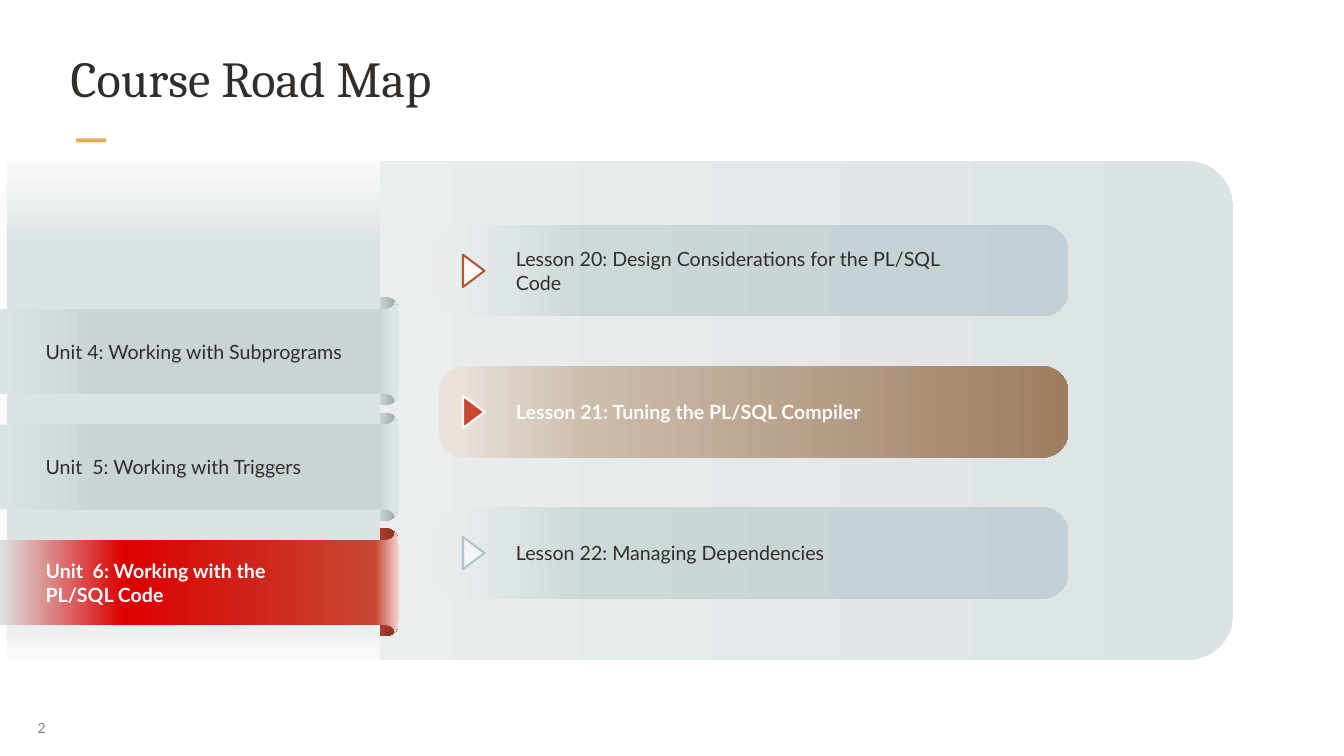
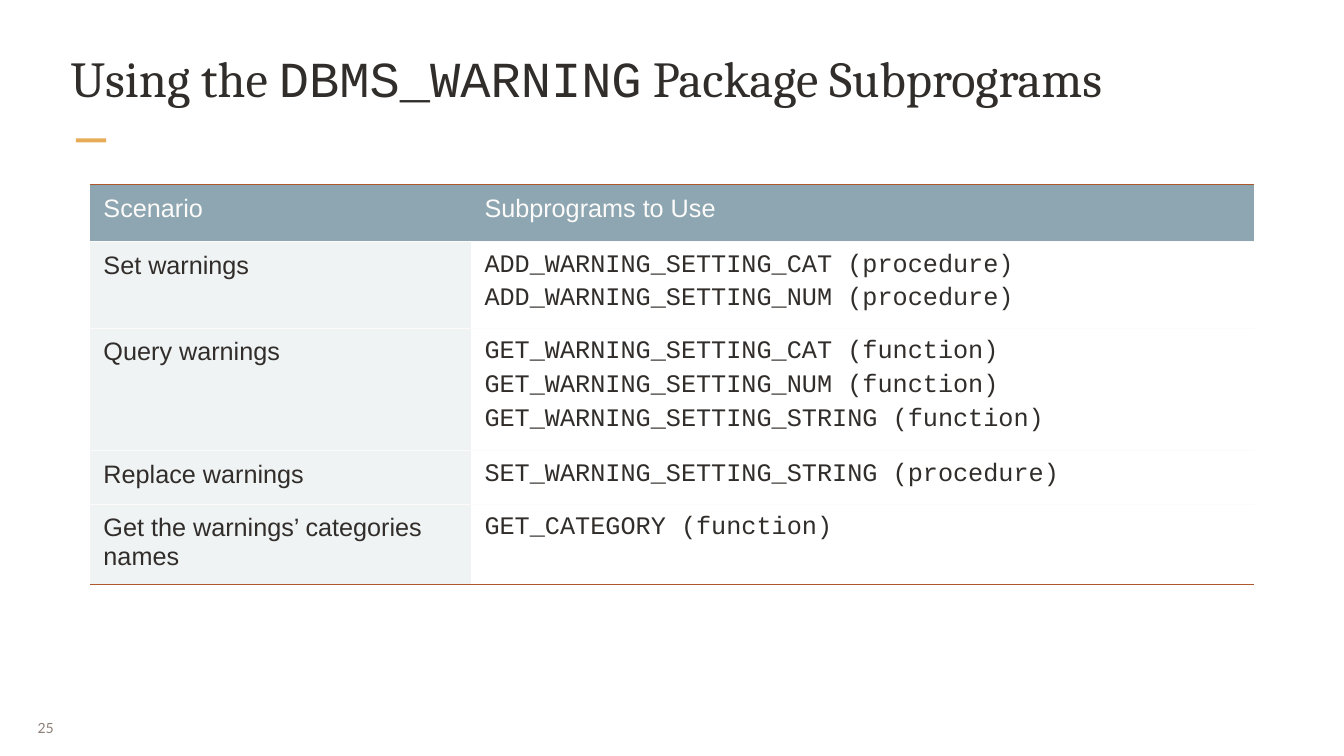
"""Build a course road map slide and a table of warning subprograms."""
from dataclasses import dataclass

from lxml import etree
from pptx import Presentation
from pptx.dml.color import RGBColor
from pptx.enum.shapes import MSO_SHAPE
from pptx.enum.text import MSO_ANCHOR, MSO_AUTO_SIZE, PP_ALIGN
from pptx.oxml.ns import qn
from pptx.util import Emu, Inches, Pt

SLIDE_WIDTH, SLIDE_HEIGHT = Inches(20), Inches(11.25)
COLUMN, ROW = SLIDE_WIDTH / 20, SLIDE_HEIGHT / 11.25

RECTANGLE = MSO_SHAPE.RECTANGLE
ROUNDED = MSO_SHAPE.ROUNDED_RECTANGLE
TRIANGLE = MSO_SHAPE.ISOSCELES_TRIANGLE
TOP, MIDDLE = MSO_ANCHOR.TOP, MSO_ANCHOR.MIDDLE
LEFT, JUSTIFY = PP_ALIGN.LEFT, PP_ALIGN.JUSTIFY
FIXED_SIZE, GROW = MSO_AUTO_SIZE.NONE, MSO_AUTO_SIZE.SHAPE_TO_FIT_TEXT

TITLE_FONT, BODY_FONT, TABLE_FONT, CODE_FONT = "Cambria", "Lato", "Arial", "Courier New"
TITLE_ONLY = 5
PLAIN_TABLE = "{2D5ABB26-0587-4C30-8999-92F81FD0307C}"

INK = RGBColor(0x31, 0x2D, 0x2A)
PAPER = RGBColor(0xFC, 0xFB, 0xFA)
GOLD = RGBColor(0xE6, 0xAC, 0x58)
STONE = RGBColor(0x8B, 0x80, 0x78)
RUST = RGBColor(0xAE, 0x56, 0x2C)
BRICK = RGBColor(0xC7, 0x46, 0x34)
DARK_BRICK = RGBColor(0x95, 0x34, 0x27)
RED = RGBColor(0xDC, 0x00, 0x00)
BLUSH = RGBColor(0xF4, 0xDA, 0xD6)
MIST = RGBColor(0xDC, 0xE3, 0xE4)
PALE_MIST = RGBColor(0xEA, 0xEE, 0xEF)
BAR_MIST = RGBColor(0xE7, 0xEC, 0xED)
SAGE = RGBColor(0xCD, 0xD8, 0xD9)
BLUE_MIST = RGBColor(0xC2, 0xCF, 0xD4)
SILVER = RGBColor(0xCA, 0xD4, 0xD7)
TAB_MIST = RGBColor(0xDE, 0xE4, 0xE5)
STEEL = RGBColor(0x96, 0xA2, 0xA7)
SAND = RGBColor(0xE9, 0xE2, 0xDB)
TAN = RGBColor(0xCD, 0xBC, 0xAC)
BROWN = RGBColor(0x9D, 0x7D, 0x5E)
FROST = RGBColor(0xF3, 0xF5, 0xF6)
FROST_EDGE = RGBColor(0xB4, 0xC3, 0xC9)
HEADER_BLUE = RGBColor(0x8D, 0xA6, 0xB1)
CELL_BLUE = RGBColor(0xEF, 0xF3, 0xF4)


@dataclass(frozen=True)
class Area:
    """A rectangle in grid columns and rows."""
    left: float
    top: float
    width: float
    height: float

    def lengths(self) -> tuple:
        """Return left, top, width and height as slide lengths."""
        return (Emu(round(self.left * COLUMN)), Emu(round(self.top * ROW)),
                Emu(round(self.width * COLUMN)), Emu(round(self.height * ROW)))


@dataclass(frozen=True)
class Gradient:
    """Colour stops in percent, with a counter-clockwise angle."""
    stops: tuple
    angle: int = 0


@dataclass(frozen=True)
class Lesson:
    """A lesson bar with its arrow colours."""
    text: str
    bar_fill: Gradient
    arrow_fill: RGBColor
    arrow_edge: RGBColor
    lines: int = 1
    current: bool = False


@dataclass(frozen=True)
class Unit:
    """A unit ribbon with the tab folded behind it."""
    text: str
    ribbon_fill: Gradient
    tab_fill: Gradient
    text_width: float
    lines: int = 1
    current: bool = False


PANEL_FILL = Gradient(((0, PAPER), (26, PALE_MIST), (100, MIST)))
SIDEBAR_FILL = Gradient(((0, PAPER), (17, MIST), (87, MIST), (100, PAPER)), 270)
BAR_FILL = Gradient(((3, BAR_MIST), (24, SAGE), (100, BLUE_MIST)))
CURRENT_BAR_FILL = Gradient(((3, SAND), (24, TAN), (100, BROWN)))
TAB_FILL = Gradient(((77, TAB_MIST), (99, STEEL)))
CURRENT_TAB_FILL = Gradient(((73, BRICK), (92, DARK_BRICK)))
RIBBON_FILL = Gradient(((0, MIST), (25, SILVER), (95, SILVER), (98, MIST)))
CURRENT_RIBBON_FILL = Gradient(((0, MIST), (31, RED), (94, BRICK), (100, BLUSH)))

LESSONS = (
    Lesson("Lesson 20: Design Considerations for the PL/SQL Code", BAR_FILL, PAPER, RUST, lines=2),
    Lesson("Lesson 21: Tuning the PL/SQL Compiler", CURRENT_BAR_FILL, BRICK, PAPER, current=True),
    Lesson("Lesson 22: Managing Dependencies", BAR_FILL, FROST, FROST_EDGE),
)
UNITS = (
    Unit("Unit 4: Working with Subprograms", RIBBON_FILL, TAB_FILL, 4.81),
    Unit("Unit  5: Working with Triggers", RIBBON_FILL, TAB_FILL, 5.09),
    Unit("Unit  6: Working with the PL/SQL Code", CURRENT_RIBBON_FILL, CURRENT_TAB_FILL, 4.44,
         lines=2, current=True),
)
LESSON_TOP, LESSON_STEP, LESSON_HEIGHT = 3.35, 2.1, 1.36
UNIT_TOP, UNIT_STEP, UNIT_HEIGHT = 4.48, 1.72, 1.5
RIBBON_EDGE = ((0, 0.12), (5.76, 0.12), (5.82, 0.1), (5.87, 0.05), (5.88, 0), (5.92, 0.08), (5.94, 0.2))

TABLE_AREA = Area(1.34, 2.75, 17.32, 5.95)
TABLE_COLUMNS = (5.67, 11.65)
TABLE_ROWS = (0.84, 1.29, 1.83, 0.79, 1.2)
SUBPROGRAMS = (
    ("Scenario", "Subprograms to Use"),
    ("Set warnings", "ADD_WARNING_SETTING_CAT (procedure)\nADD_WARNING_SETTING_NUM (procedure)"),
    ("Query warnings", "GET_WARNING_SETTING_CAT (function)\nGET_WARNING_SETTING_NUM (function)\n"
                       "GET_WARNING_SETTING_STRING (function)"),
    ("Replace warnings", "SET_WARNING_SETTING_STRING (procedure)"),
    ("Get the warnings’ categories names", "GET_CATEGORY (function)"),
)


def style_font(font, name: str, size: float, color: RGBColor, bold: bool = False) -> None:
    """Set the face, size, colour and weight of a font."""
    font.name, font.size, font.bold = name, Pt(size), bold
    font.color.rgb = color


def set_insets(frame, horizontal: float, vertical: float) -> None:
    """Set the margins of a text frame or table cell."""
    frame.margin_left = frame.margin_right = Inches(horizontal)
    frame.margin_top = frame.margin_bottom = Inches(vertical)


def paint(shape, fill) -> None:
    """Fill a shape with a colour or gradient, without outline or shadow."""
    shape.shadow.inherit = False
    shape.line.fill.background()
    if isinstance(fill, RGBColor):
        shape.fill.solid()
        shape.fill.fore_color.rgb = fill
        return
    shape.fill.gradient()
    shape.fill.gradient_angle = fill.angle
    stop_list = shape._element.spPr.find(".//" + qn("a:gsLst"))
    for stop in list(stop_list):
        stop_list.remove(stop)
    for percent, color in fill.stops:
        stop = etree.SubElement(stop_list, qn("a:gs"), pos=str(percent * 1000))
        etree.SubElement(stop, qn("a:srgbClr"), val=str(color))


def add_block(page, kind, area: Area, fill, rounding: float | None = None):
    """Draw a painted preset shape."""
    shape = page.shapes.add_shape(kind, *area.lengths())
    if rounding is not None:
        shape.adjustments[0] = rounding
    paint(shape, fill)
    return shape


def add_label(page, text: str, left: float, center: float, width: float, lines: int, current: bool) -> None:
    """Write a label centred vertically on a bar or ribbon."""
    height = 0.09 + 0.36 * lines
    box = page.shapes.add_textbox(*Area(left, center - height / 2, width, height).lengths())
    frame = box.text_frame
    frame.word_wrap, frame.vertical_anchor, frame.auto_size = True, MIDDLE, GROW
    frame.text = text
    style_font(frame.paragraphs[0].font, BODY_FONT, 21, PAPER if current else INK, current)


def add_page(deck, number: int, title_spans: tuple):
    """Add a page with its title, accent and page number."""
    page = deck.slides.add_slide(deck.slide_layouts[TITLE_ONLY])
    add_block(page, RECTANGLE, Area(1.13, 2.06, 0.45, 0.06), GOLD)

    box = page.shapes.add_textbox(*Area(0.43, 10.54, 0.65, 0.58).lengths())
    frame = box.text_frame
    frame.word_wrap, frame.vertical_anchor = False, MIDDLE
    set_insets(frame, 0.13, 0.07)
    frame.text = str(number)
    frame.paragraphs[0].alignment = JUSTIFY
    style_font(frame.paragraphs[0].font, BODY_FONT, 15, STONE)

    title = page.shapes.title
    title.left, title.top, title.width, title.height = Area(1.02, 0.67, 17.96, 1.28).lengths()
    frame = title.text_frame
    frame.word_wrap, frame.vertical_anchor, frame.auto_size = True, TOP, FIXED_SIZE
    set_insets(frame, 0.03, 0.03)
    para = frame.paragraphs[0]
    para.alignment = LEFT
    style_font(para.font, TITLE_FONT, 54, INK)
    for text, font_name in title_spans:
        span = para.add_run()
        span.text = text
        span.font.name = font_name
    return page


def add_lesson(page, lesson: Lesson, top: float) -> None:
    """Draw a lesson bar with its arrow and label."""
    center = top + LESSON_HEIGHT / 2
    add_block(page, ROUNDED, Area(6.53, top, 9.37, LESSON_HEIGHT), lesson.bar_fill, 0.289)
    arrow = add_block(page, TRIANGLE, Area(6.81, center - 0.16, 0.48, 0.32), lesson.arrow_fill)
    arrow.rotation = 90
    arrow.line.color.rgb = lesson.arrow_edge
    arrow.line.width = Pt(2.25)
    add_label(page, lesson.text, 7.58, center, 6.7, lesson.lines, lesson.current)


def add_unit(page, unit: Unit, top: float) -> None:
    """Draw a unit ribbon, mirrored about its middle, and its label."""
    lower_edge = tuple((x, UNIT_HEIGHT - y) for x, y in reversed(RIBBON_EDGE))
    points = [(round(x * COLUMN), round((top + y) * ROW)) for x, y in RIBBON_EDGE + lower_edge]
    builder = page.shapes.build_freeform(*points[0])
    builder.add_line_segments(points[1:], close=True)
    paint(builder.convert_to_shape(), unit.ribbon_fill)
    add_label(page, unit.text, 0.58, top + UNIT_HEIGHT / 2, unit.text_width, unit.lines, unit.current)


def add_road_map(deck) -> None:
    """Build the road map of units and lessons."""
    page = add_page(deck, 2, (("Course Road Map", TITLE_FONT),))
    add_block(page, ROUNDED, Area(0, 2.4, 18.35, 7.42), PANEL_FILL, 0.093)
    for index, lesson in enumerate(LESSONS):
        add_lesson(page, lesson, LESSON_TOP + index * LESSON_STEP)
    unit_tops = [UNIT_TOP + index * UNIT_STEP for index in range(len(UNITS))]
    for unit, top in zip(UNITS, unit_tops):
        add_block(page, ROUNDED, Area(4.35, top - 0.06, 1.58, 1.61), unit.tab_fill, 0.126)
    add_block(page, RECTANGLE, Area(0.1, 2.36, 5.55, 7.47), SIDEBAR_FILL)
    for unit, top in zip(UNITS, unit_tops):
        add_unit(page, unit, top)


def add_border(cell, side: str, color: RGBColor) -> None:
    """Draw a one-point border on a side of a cell."""
    line = etree.SubElement(cell._tc.get_or_add_tcPr(), qn(f"a:{side}"), w=str(Pt(1)))
    fill = etree.SubElement(line, qn("a:solidFill"))
    etree.SubElement(fill, qn("a:srgbClr"), val=str(color))


def fill_cell(cell, text: str, row: int, column: int) -> None:
    """Write and format a cell by its place in the table."""
    is_header, is_last = row == 0, row == len(SUBPROGRAMS) - 1
    add_border(cell, "lnT", RUST if is_header else PAPER)
    add_border(cell, "lnB", RUST if is_last else PAPER)
    if is_header or column == 0:
        cell.fill.solid()
        cell.fill.fore_color.rgb = HEADER_BLUE if is_header else CELL_BLUE
    else:
        cell.fill.background()
    set_insets(cell, 0.2, 0.15)
    cell.text = text
    font_name = TABLE_FONT if is_header or column == 0 else CODE_FONT
    for index, para in enumerate(cell.text_frame.paragraphs):
        style_font(para.font, font_name, 27, PAPER if is_header else INK)
        if index:
            para.space_before = Pt(5.4)


def add_subprogram_table(deck) -> None:
    """Build the table of scenarios and subprograms."""
    page = add_page(deck, 25, (("Using the ", TITLE_FONT), ("DBMS_WARNING", CODE_FONT),
                               (" Package Subprograms", TITLE_FONT)))
    table = page.shapes.add_table(len(TABLE_ROWS), len(TABLE_COLUMNS), *TABLE_AREA.lengths()).table
    table.horz_banding = False
    table._tbl.tblPr.find(qn("a:tableStyleId")).text = PLAIN_TABLE
    for column, width in zip(table.columns, TABLE_COLUMNS):
        column.width = Emu(round(width * COLUMN))
    for row, height in zip(table.rows, TABLE_ROWS):
        row.height = Emu(round(height * ROW))
    for row, texts in enumerate(SUBPROGRAMS):
        for column, text in enumerate(texts):
            fill_cell(table.cell(row, column), text, row, column)


def main() -> None:
    """Build and save the deck."""
    deck = Presentation()
    deck.slide_width, deck.slide_height = SLIDE_WIDTH, SLIDE_HEIGHT
    add_road_map(deck)
    add_subprogram_table(deck)
    deck.save("out.pptx")


if __name__ == "__main__":
    main()
